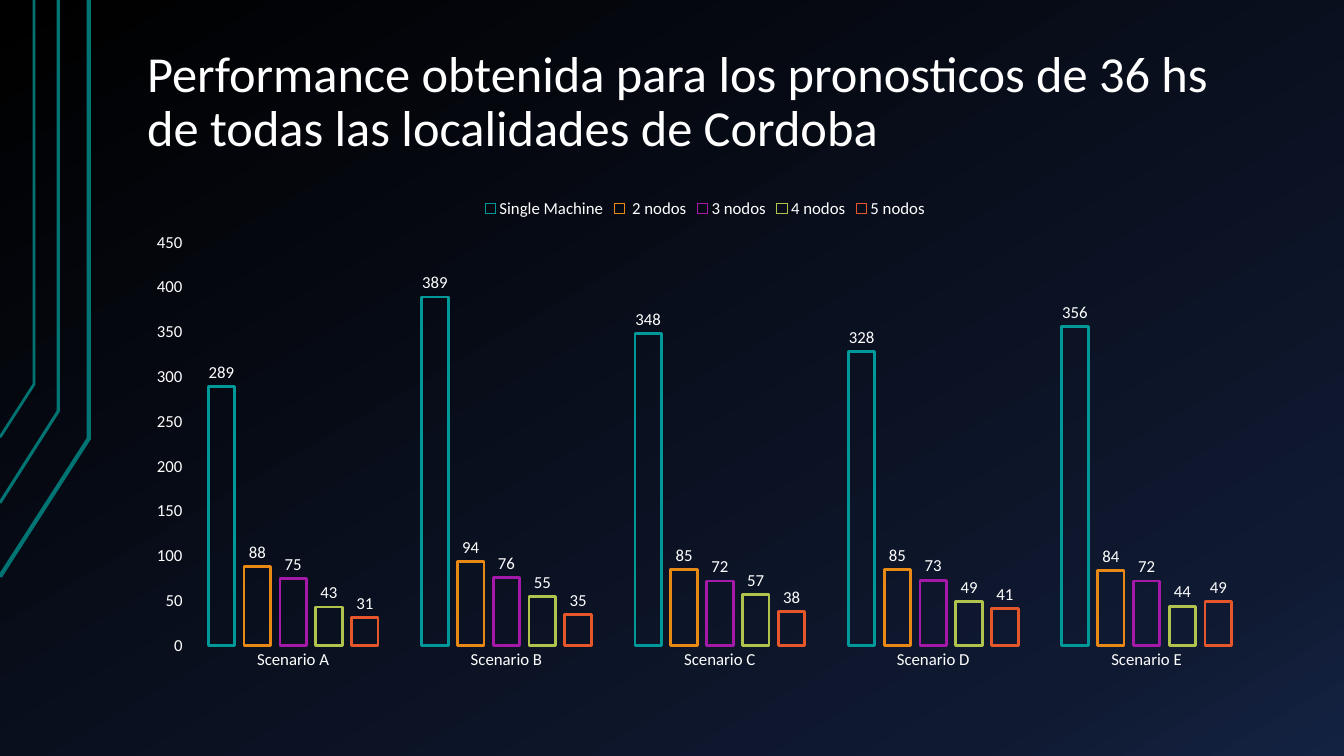
from dataclasses import dataclass

from lxml.etree import SubElement
from pptx import Presentation
from pptx.chart.data import CategoryChartData
from pptx.dml.color import RGBColor
from pptx.enum.chart import (XL_CHART_TYPE, XL_LABEL_POSITION,
                             XL_LEGEND_POSITION, XL_TICK_MARK)
from pptx.enum.text import MSO_ANCHOR
from pptx.oxml.ns import qn
from pptx.util import Cm, Pt


@dataclass(frozen=True)
class Theme:
    font: str = "Calibri"
    text: str = "FFFFFF"
    trace: str = "007373"
    background: tuple = ((0, "000000"), (85, "0F1931"), (100, "142242"))
    background_angle: int = 60
    series: tuple = ("009999", "E98915", "A419A7", "AFC34D", "E5572B")
    title_size: int = 36
    chart_size: int = 12
    bar_line: int = 2


THEME = Theme()

TITLE = ("Performance obtenida para los pronosticos de 36 hs "
         "de todas las localidades de Cordoba")
SCENARIOS = [f"Scenario {letter}" for letter in "ABCDE"]
TIMES = {
    "Single Machine": (289, 389, 348, 328, 356),
    " 2 nodos": (88, 94, 85, 85, 84),
    "3 nodos": (75, 76, 72, 73, 72),
    "4 nodos": (43, 55, 57, 49, 44),
    "5 nodos": (31, 35, 38, 41, 49),
}
# Circuit traces in cm: bend x, bend y, y at the left edge; width in points
TRACES = (
    (2.24, 11.05, 14.53, 3),
    (1.47, 10.36, 12.67, 2.25),
    (0.86, 9.68, 11.02, 2),
)


def style_font(font, size):
    font.name = THEME.font
    font.size = Pt(size)
    font.color.rgb = RGBColor.from_string(THEME.text)


def paint_background(slide):
    fill = slide.background.fill
    fill.gradient()
    # python-pptx measures the angle counter-clockwise
    fill.gradient_angle = 360 - THEME.background_angle
    stops = slide.element.xpath(".//a:gsLst")[0]
    for stop in list(stops):
        stops.remove(stop)
    for percent, color in THEME.background:
        stop = SubElement(stops, qn("a:gs"), pos=str(percent * 1000))
        SubElement(stop, qn("a:srgbClr"), val=color)


def add_trace(slide, bend_x, bend_y, edge_y, width):
    """Draw a line from the left edge to a bend, then up to the top."""
    builder = slide.shapes.build_freeform(Cm(0), Cm(edge_y))
    builder.add_line_segments(
        [(Cm(bend_x), Cm(bend_y)), (Cm(bend_x), Cm(0))], close=False)
    trace = builder.convert_to_shape()
    trace.shadow.inherit = False
    trace.fill.background()
    trace.line.color.rgb = RGBColor.from_string(THEME.trace)
    trace.line.width = Pt(width)


def add_title(slide):
    title = slide.shapes.add_textbox(Cm(3.38), Cm(0.76), Cm(28.78), Cm(3.4))
    frame = title.text_frame
    frame.word_wrap = True
    frame.vertical_anchor = MSO_ANCHOR.BOTTOM
    frame.margin_left = frame.margin_right = Cm(0.33)
    frame.margin_top = frame.margin_bottom = Cm(0.18)
    frame.text = TITLE
    paragraph = frame.paragraphs[0]
    paragraph.line_spacing = 0.9
    style_font(paragraph.runs[0].font, THEME.title_size)


def style_axis(axis):
    axis.has_major_gridlines = False
    axis.major_tick_mark = axis.minor_tick_mark = XL_TICK_MARK.NONE
    axis.format.line.fill.background()
    style_font(axis.tick_labels.font, THEME.chart_size)


def style_series(series, color):
    series.format.fill.background()
    series.format.line.color.rgb = RGBColor.from_string(color)
    series.format.line.width = Pt(THEME.bar_line)
    labels = series.data_labels
    labels.show_value = True
    labels.position = XL_LABEL_POSITION.OUTSIDE_END
    style_font(labels.font, THEME.chart_size)


def add_times_chart(slide):
    times = CategoryChartData()
    times.categories = SCENARIOS
    for name, values in TIMES.items():
        times.add_series(name, values)
    chart = slide.shapes.add_chart(
        XL_CHART_TYPE.COLUMN_CLUSTERED,
        Cm(3.38), Cm(4.72), Cm(28.78), Cm(12.4), times).chart
    style_font(chart.font, THEME.chart_size)
    chart.has_title = False

    chart.has_legend = True
    chart.legend.position = XL_LEGEND_POSITION.TOP
    chart.legend.include_in_layout = False
    style_font(chart.legend.font, THEME.chart_size)

    style_axis(chart.category_axis)
    style_axis(chart.value_axis)
    chart.value_axis.minimum_scale = 0
    chart.value_axis.maximum_scale = 450
    chart.value_axis.major_unit = 50

    plot = chart.plots[0]
    plot.vary_by_categories = False
    plot.gap_width = 164
    plot.overlap = -35
    for series, color in zip(plot.series, THEME.series):
        style_series(series, color)


def main():
    presentation = Presentation()
    presentation.slide_width = Cm(33.87)
    presentation.slide_height = Cm(19.05)
    slide = presentation.slides.add_slide(presentation.slide_layouts[6])
    paint_background(slide)
    for trace in TRACES:
        add_trace(slide, *trace)
    add_title(slide)
    add_times_chart(slide)
    presentation.save("out.pptx")


if __name__ == "__main__":
    main()
